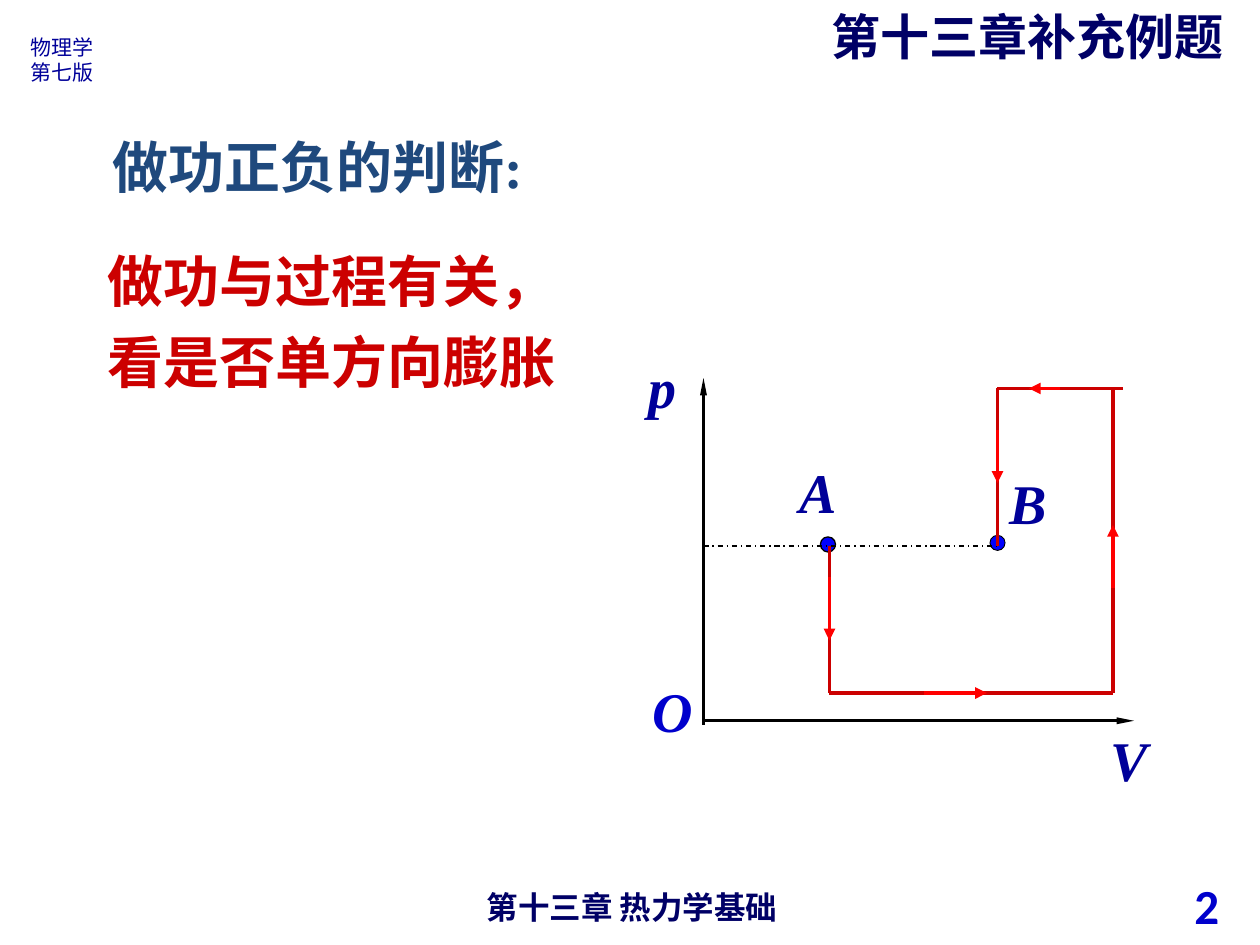
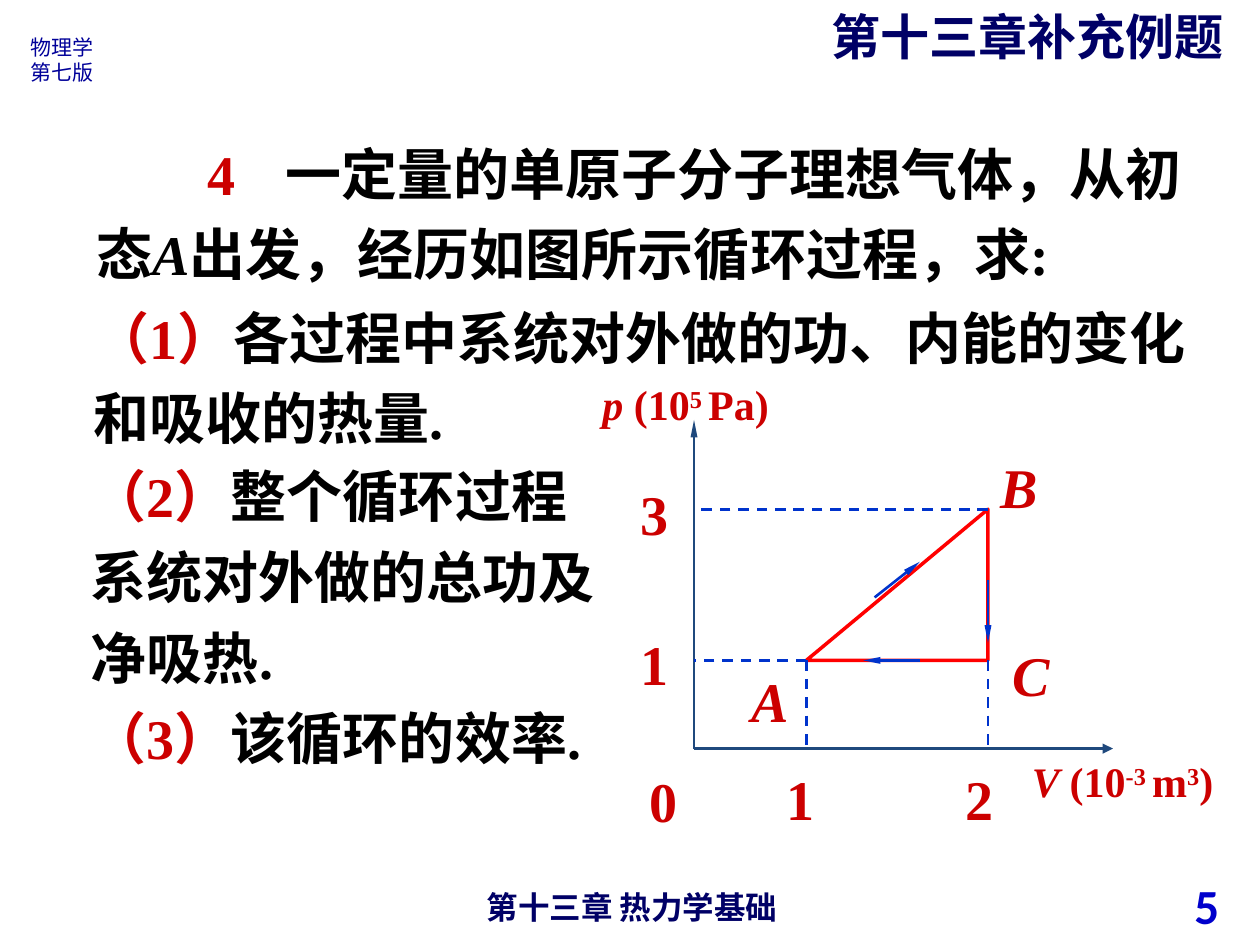
from dataclasses import dataclass, replace

from lxml import etree
from pptx import Presentation
from pptx import util as u
from pptx.dml.color import RGBColor
from pptx.enum import dml, shapes, text
from pptx.oxml.ns import qn

COLUMNS, ROWS = 120, 90
CELL = u.Inches(10) / COLUMNS


@dataclass(frozen=True)
class Style:
    size: int
    color: str
    font: str = "Times New Roman"
    bold: bool = True
    italic: bool = False
    baseline: int = 0


class Theme:
    chinese = "Noto Sans CJK SC"
    black, red, bright_red = "000000", "CC0000", "FF0000"
    steel, dash_blue, dot_blue = "1F497D", "0033CC", "0000FF"
    title = Style(28, "000066", chinese)
    footer = Style(18, "000066", chinese)
    book = Style(12, "000099", chinese, bold=False)
    number = Style(28, "0000CC", "Calibri")
    heading = Style(32, steel)
    key = Style(32, red)
    body = Style(32, black)
    variable = Style(32, black, italic=True)
    symbol = Style(32, "000099", italic=True)
    origin = Style(32, "0000CC", italic=True)
    state = Style(32, red, italic=True)
    unit = Style(24, red)
    unit_symbol = Style(24, red, italic=True)
    power = Style(24, red, baseline=30000)


# Arrowheads as (width, length)
SLIM, EVEN = ("sm", "lg"), ("med", "med")


@dataclass(frozen=True)
class Box:
    """An area of the slide, in grid columns and rows."""
    left: float
    top: float
    width: float
    height: float

    def inner(self, left, top, width, height):
        return Box(self.left + left, self.top + top, width, height)

    def point(self, column, row):
        return round((self.left + column) * CELL), round((self.top + row) * CELL)

    def lengths(self):
        return [round(n * CELL) for n in (self.left, self.top, self.width, self.height)]


PAGE = Box(0, 0, COLUMNS, ROWS)


# Text
def add_run(paragraph, words, style):
    run = paragraph.add_run()
    run.text = words
    font = run.font
    font.name, font.size = style.font, u.Pt(style.size)
    font.bold, font.italic = style.bold, style.italic
    font.color.rgb = RGBColor.from_string(style.color)
    properties = run._r.get_or_add_rPr()
    properties.set("lang", "zh-CN")
    if style.baseline:
        properties.set("baseline", str(style.baseline))
    etree.SubElement(properties, qn("a:ea")).set("typeface", Theme.chinese)


def write(shape, paragraphs, align=text.PP_ALIGN.LEFT, spacing=1.0, indent=0,
          tab=None, anchor=text.MSO_ANCHOR.TOP, grow=True):
    """Each paragraph is a list of (words, style) runs."""
    frame = shape.text_frame
    frame.word_wrap = True
    frame.vertical_anchor = anchor
    frame.auto_size = (text.MSO_AUTO_SIZE.SHAPE_TO_FIT_TEXT if grow
                       else text.MSO_AUTO_SIZE.NONE)
    for index, runs in enumerate(paragraphs):
        paragraph = frame.add_paragraph() if index else frame.paragraphs[0]
        paragraph.alignment = align
        paragraph.line_spacing = spacing
        paragraph.space_before = u.Pt(0)
        properties = paragraph._p.get_or_add_pPr()
        properties.set("marL", "0")
        properties.set("indent", str(round(indent * CELL)))
        etree.SubElement(properties, qn("a:buNone"))
        if tab:
            stops = etree.SubElement(properties, qn("a:tabLst"))
            etree.SubElement(stops, qn("a:tab"), pos=str(round(tab * CELL)), algn="l")
        for words, style in runs:
            add_run(paragraph, words, style)


def add_text(canvas, box, paragraphs, **layout):
    write(canvas.add_textbox(*box.lengths()), paragraphs, **layout)


def fill_placeholder(placeholder, box, paragraphs, **layout):
    placeholder.left, placeholder.top, placeholder.width, placeholder.height = box.lengths()
    write(placeholder, paragraphs, **layout)


def add_labels(canvas, box, labels, style, width=5.9):
    for words, left, top in labels:
        add_text(canvas, box.inner(left, top, width, 7.7), [[(words, style)]])


# Drawing
def set_line(line, color, width):
    line.color.rgb = RGBColor.from_string(color)
    line.width = u.Pt(width)


def add_line(canvas, box, start, end, color, width, head=None, dash=None):
    connector = canvas.add_connector(
        shapes.MSO_CONNECTOR.STRAIGHT, *box.point(*start), *box.point(*end))
    set_line(connector.line, color, width)
    if dash:
        connector.line.dash_style = dash
    if head:
        etree.SubElement(connector.line._get_or_add_ln(), qn("a:tailEnd"),
                         type="triangle", w=head[0], len=head[1])
    etree.SubElement(connector._element.spPr, qn("a:effectLst"))


def add_outline(canvas, kind, box, color, width, fill=None):
    shape = canvas.add_shape(kind, *box.lengths())
    shape.shadow.inherit = False
    if fill:
        shape.fill.solid()
        shape.fill.fore_color.rgb = RGBColor.from_string(fill)
    else:
        shape.fill.background()
    set_line(shape.line, color, width)
    return shape


# Title, book name, footer and page number on every slide
def add_lecture_slide(presentation, number):
    slide = presentation.slides.add_slide(presentation.slide_layouts[1])
    fill_placeholder(slide.shapes.title, PAGE.inner(78, 0, 42, 6.8),
                     [[("第十三章补充例题", Theme.title)]])
    add_text(slide.shapes, PAGE.inner(1.7, 2.7, 8.7, 6),
             [[("物理学", Theme.book)], [("第七版", Theme.book)]])
    add_text(slide.shapes, PAGE.inner(41.2, 84, 38, 3.5),
             [[("第十三章 热力学基础", Theme.footer)]],
             align=text.PP_ALIGN.CENTER, grow=False)
    add_text(slide.shapes, PAGE.inner(89.3, 83.8, 28, 4.8),
             [[(str(number), Theme.number)]], align=text.PP_ALIGN.RIGHT,
             anchor=text.MSO_ANCHOR.MIDDLE, grow=False)
    return slide


# p-V diagram of a stepped process from A to B
def draw_stepped_process(canvas, box):
    axis, level, low, high = 7, 19, 33, 4
    a, b, right = 19, 35, 46
    for start, end in (((axis, 36), (axis, 3)), ((axis, 35.65), (48, 35.65))):
        add_line(canvas, box, start, end, Theme.black, 1.5, SLIM)
    size = 1.44
    for column, row, width in ((18.85, 18.85, 0.75), (b, 18.7, 0.5)):
        dot = box.inner(column - size / 2, row - size / 2, size, size)
        add_outline(canvas, shapes.MSO_SHAPE.OVAL, dot, Theme.black, width, Theme.dot_blue)
    add_line(canvas, box, (axis, level), (b, level), Theme.black, 0.75,
             dash=dml.MSO_LINE.DASH_DOT)

    steps = (((a, level), (a, low)), ((a, low), (right, low)),
             ((right, high), (right, low)), ((b, high), (right + 1, high)),
             ((b, high), (b, level)))
    for start, end in steps:
        add_line(canvas, box, start, end, Theme.red, 2.25)
    directions = (((a, 22), (a, 28)), ((28, low), (34, low)),
                  ((right, 23), (right, 17)), ((41, high), (38, high)),
                  ((b, 8), (b, 13)))
    for start, end in directions:
        add_line(canvas, box, start, end, Theme.bright_red, 2.25, EVEN)

    add_labels(canvas, box, (("p", 0.6, 0), ("V", 44.6, 35.5),
                             ("A", 15, 10), ("B", 35, 11)), Theme.symbol)
    add_labels(canvas, box, [("O", 1, 30.85)], Theme.origin, width=6.6)


# p-V diagram of the cycle A-B-C
def draw_cycle(canvas, box):
    axis, v1, v2 = 10.1, 20.8, 38.1
    base, p1, p3 = 35.8, 27.4, 13
    for end, head in (((50, base), EVEN), ((axis, 4.5), SLIM)):
        add_line(canvas, box, (axis, base), end, Theme.steel, 1.5, head)
    triangle = add_outline(canvas, shapes.MSO_SHAPE.RIGHT_TRIANGLE,
                           box.inner(v1, p3, v2 - v1, p1 - p3), Theme.bright_red, 2)
    triangle._element.spPr.find(qn("a:xfrm")).set("flipH", "1")
    guides = (((v2, p1), (v2, base)), ((v1, p1), (v1, base)),
              ((v1, p1), (axis, p1)), ((v2, p3), (axis, p3)))
    for start, end in guides:
        add_line(canvas, box, start, end, Theme.dash_blue, 1.5, dash=dml.MSO_LINE.DASH)
    directions = (((31.6, p1), (26.2, p1)), ((v2, 19.7), (v2, 25.7)),
                  ((27.3, 21.4), (31.6, 18)))
    for start, end in directions:
        add_line(canvas, box, start, end, Theme.dash_blue, 1.5, SLIM)

    unit, power = Theme.unit, Theme.power
    add_text(canvas, box.inner(41.1, 35.9, 22.9, 6),
             [[("V ", Theme.unit_symbol), ("(10", unit), ("-3 ", power),
               ("m", unit), ("3", power), (")", unit)]])
    add_text(canvas, box.inner(0.2, 0, 19.2, 6),
             [[("p ", Theme.unit_symbol), ("(10", unit), ("5 ", power), ("Pa)", unit)]])
    add_labels(canvas, box, (("0", 4.7, 36.9), ("1", 17.7, 36.75), ("2", 34.8, 36.75),
                             ("3", 3.8, 9.6), ("1", 3.8, 23.9)),
               replace(Theme.state, italic=False), width=7.6)
    add_labels(canvas, box, (("A", 14.4, p1), ("B", v2, 7), ("C", 39.2, 24.9)),
               Theme.state)


def build_work_sign_slide(presentation):
    slide = add_lecture_slide(presentation, 2)
    draw_stepped_process(slide.shapes, PAGE.inner(60, 33, 50, 45))
    add_text(slide.shapes, PAGE.inner(9.5, 12, 46, 7.7),
             [[("做功正负的判断:", Theme.heading)]])
    fill_placeholder(slide.placeholders[1], PAGE.inner(9, 21.6, 50, 16.6),
                     [[("做功与过程有关，", Theme.key)],
                      [("看是否单方向膨胀", Theme.key)]], spacing=1.2)


def build_cycle_slide(presentation):
    slide = add_lecture_slide(presentation, 5)
    key, body = Theme.key, Theme.body
    add_text(slide.shapes, PAGE.inner(8, 11.4, 105.8, 16.6),
             [[("4\t", key), ("一定量的单原子分子理想气体，从初态", body),
               ("A", Theme.variable), ("出发，经历如图所示循环过程，求:", body)]],
             spacing=1.2, indent=10.6, tab=17)
    add_text(slide.shapes, PAGE.inner(7.7, 27, 107.2, 16.6),
             [[("（1）", key),
               ("各过程中系统对外做的功、内能的变化和吸收的热量.", body)]], spacing=1.2)
    fill_placeholder(slide.placeholders[1], PAGE.inner(7.45, 42.1, 51.6, 39.6),
                     [[("（2）", key), ("整个循环过程系统对外做的总功及净吸热.", body)],
                      [("（3）", key), ("该循环的效率.", body)]], spacing=1.2)
    figure = slide.shapes.add_group_shape()
    draw_cycle(figure.shapes, PAGE.inner(56, 35.5, 64, 45))


def main():
    presentation = Presentation()
    presentation.slide_width = round(COLUMNS * CELL)
    presentation.slide_height = round(ROWS * CELL)
    build_work_sign_slide(presentation)
    build_cycle_slide(presentation)
    presentation.save("out.pptx")


if __name__ == "__main__":
    main()
